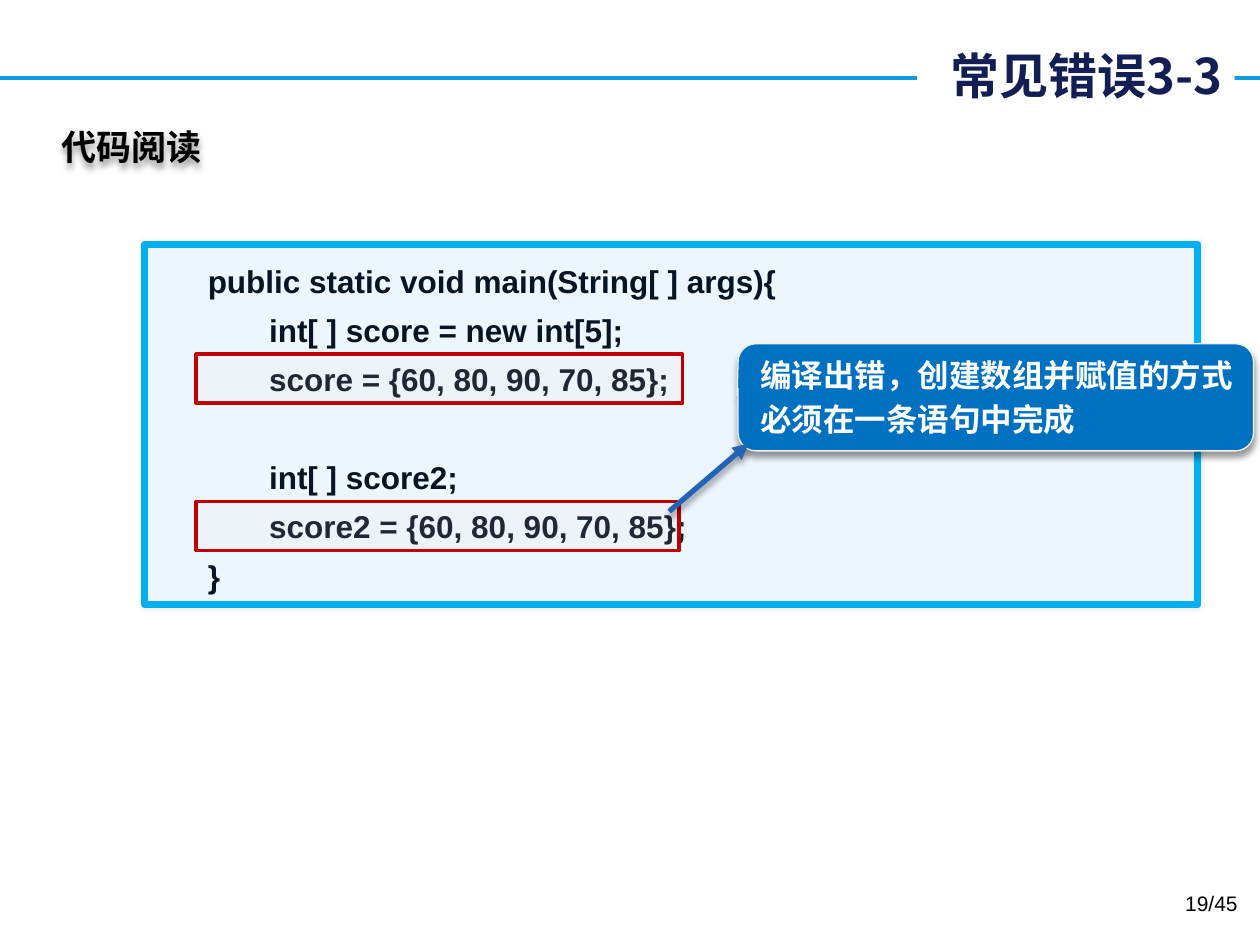
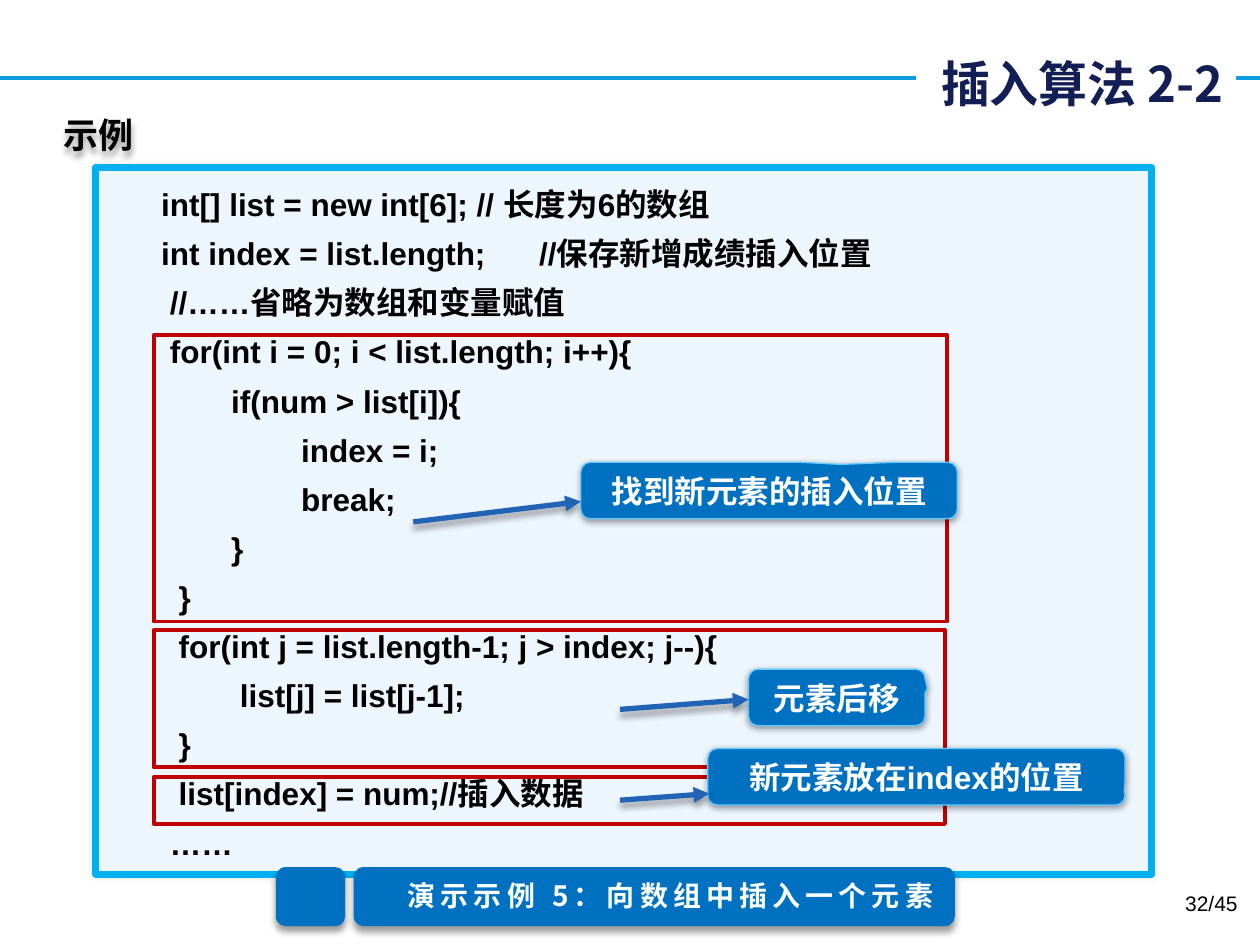
from pptx import Presentation
from pptx.dml.color import RGBColor
from pptx.enum.shapes import MSO_CONNECTOR, MSO_SHAPE
from pptx.enum.text import MSO_ANCHOR, PP_ALIGN
from pptx.oxml.ns import qn
from pptx.util import Cm, Pt
from lxml.etree import SubElement

HUES = {
    "rule": "0E9CDE", "title": "121E54", "panel": "EDF5FD", "edge": "00B0F0",
    "code": "071424", "black": "000000", "white": "FFFFFF", "note": "0070C0",
    "pale": "F2F2F2", "sky": "66CCFF", "red": "C00000", "pink": "FFDDDD",
    "arrow": "2163B4", "demo": "FBFFFE",
}
ARIAL = "Arial"
NOTO = "Noto Sans CJK SC"
SPACE = 0.1764


def hue(name):
    return RGBColor.from_string(HUES[name])


def shade(shape, alpha=40, blur=4, dist=3):
    props = shape._element.spPr
    list_ = props.find(qn("a:effectLst"))
    if list_ is None:
        list_ = SubElement(props, qn("a:effectLst"))
    cast = SubElement(list_, qn("a:outerShdw"), blurRad=str(Pt(blur)),
                      dist=str(Pt(dist)), dir="5400000", algn="ctr", rotWithShape="0")
    tone = SubElement(cast, qn("a:srgbClr"), val=HUES["black"])
    SubElement(tone, qn("a:alpha"), val=str(alpha * 1000))


def block(slide, kind, box, fill=None, line=None, width=0.75):
    shape = slide.shapes.add_shape(kind, *map(Cm, box))
    shape.shadow.inherit = False
    if fill:
        shape.fill.solid()
        shape.fill.fore_color.rgb = hue(fill)
    else:
        shape.fill.background()
    if line:
        shape.line.color.rgb = hue(line)
        shape.line.width = Pt(width)
    else:
        shape.line.fill.background()
    return shape


def write(shape, lines, size, color, font=ARIAL, bold=True, align=PP_ALIGN.LEFT,
          anchor=MSO_ANCHOR.MIDDLE, wrap=True):
    frame = shape.text_frame
    frame.text = "\n".join(lines)
    frame.word_wrap = wrap
    frame.vertical_anchor = anchor
    for para in frame.paragraphs:
        para.alignment = align
        for run in para.runs:
            run.font.size = Pt(size)
            run.font.bold = bold
            run.font.color.rgb = hue(color)
            run.font.name = font
            SubElement(run._r.get_or_add_rPr(), qn("a:ea"), typeface=NOTO)
    return frame


def label(slide, box, text, size, color, **style):
    shape = slide.shapes.add_textbox(*map(Cm, box))
    write(shape, [text], size, color, **style)
    return shape


def line(slide, ends, color, width):
    link = slide.shapes.add_connector(MSO_CONNECTOR.STRAIGHT, *map(Cm, ends))
    link.line.color.rgb = hue(color)
    link.line.width = Pt(width)
    SubElement(link._element.spPr, qn("a:effectLst"))
    return link


def base(deck, title, box, head, spot, page):
    slide = deck.slides.add_slide(deck.slide_layouts[6])
    line(slide, (0, 1.57, 25.4, 1.57), "rule", 2.25)
    bar = block(slide, MSO_SHAPE.RECTANGLE, box, "white")
    write(bar, [title], 28, "title", NOTO, align=PP_ALIGN.RIGHT, wrap=False)
    name = label(slide, spot, head, 20, "black", font=NOTO, wrap=False)
    shade(name)
    label(slide, (19.28, 17.83, 5.92, 1.02), f"{page}/45", 12, "black", bold=False,
          align=PP_ALIGN.RIGHT, anchor=MSO_ANCHOR.TOP)
    return slide


def code(slide, box, rows, color, inset):
    panel = block(slide, MSO_SHAPE.ROUNDED_RECTANGLE, box, "panel", "edge", 4)
    panel.adjustments[0] = 0
    shade(panel, 10, 3, 0)
    frame = write(panel, [text for _, text in rows], 18, color, anchor=MSO_ANCHOR.TOP)
    frame.margin_left, frame.margin_right = Cm(inset), 0
    for para, (spaces, text) in zip(frame.paragraphs, rows):
        para.line_spacing = 1.3
        props = para._p.get_or_add_pPr()
        props.set("marL", str(Cm(spaces * SPACE)))
        props.set("indent", "0")
        if "\t" in text:
            tabs = SubElement(props, qn("a:tabLst"))
            SubElement(tabs, qn("a:tab"), pos=str(Cm(7.39)), algn="l")
    return frame


def shift(box, part):
    return (box[0] + part[0], box[1] + part[1], *part[2:])


def mark(slide, box, part, tint=False):
    shape = block(slide, MSO_SHAPE.RECTANGLE, shift(box, part),
                  "pink" if tint else None, "red", 2.25)
    if tint:
        tone = shape._element.spPr.find(qn("a:solidFill"))[0]
        SubElement(tone, qn("a:alpha"), val="10000")


def note(slide, box, part, lines, tip, edge="sky", dist=1, align=PP_ALIGN.CENTER):
    shape = block(slide, MSO_SHAPE.ROUNDED_RECTANGULAR_CALLOUT, shift(box, part),
                  "note", edge)
    for spot, value in enumerate((*tip, 0.167)):
        shape.adjustments[spot] = value
    shade(shape, dist=dist)
    frame = write(shape, lines, 18, "white", align=align)
    if len(lines) > 1:
        frame.margin_left, frame.margin_right = Cm(0.34), 0
        for para in frame.paragraphs:
            para.space_before = Pt(3.6)


def arrow(slide, box, ends):
    left, top = box[:2]
    x, y, to_x, to_y = ends
    link = line(slide, (left + x, top + y, left + to_x, top + to_y), "arrow", 3)
    SubElement(link.line._get_or_add_ln(), qn("a:tailEnd"), type="triangle")
    shade(link)


def demo(slide, box, text):
    left, top, width, height = box
    for x, wide in ((0, 1.4), (1.57, width - 1.57)):
        shade(block(slide, MSO_SHAPE.ROUNDED_RECTANGLE,
                    (left + x, top, wide, height), "note"))
    name = label(slide, (left + 2.26, top + 0.1, width - 2.29, 0.94), text, 16,
                 "demo", font=NOTO, align=PP_ALIGN.CENTER, wrap=False)
    name.text_frame.paragraphs[0].runs[0].font._element.set("spc", "300")


def errors(deck):
    slide = base(deck, "常见错误3-3", (18.49, 0.79, 6.4, 1.45),
                 "代码阅读", (0.99, 2.39, 3.38, 1.12), 19)
    box = (2.92, 4.93, 21.23, 7.26)
    frame = code(slide, box, [
        (0, "public static void main(String[ ] args){"),
        (7, "int[ ] score = new int[5];"),
        (7, "score = {60, 80, 90, 70, 85};"),
        (7, "int[ ] score2;"),
        (7, "score2 = {60, 80, 90, 70, 85};"),
        (0, "}"),
    ], "code", 1.27)
    frame.paragraphs[3].space_before = Pt(28)
    note(slide, box, (11.96, 2, 10.39, 2.16),
         ["编译出错，创建数组并赋值的方式", "必须在一条语句中完成"],
         (-0.502, -0.016), "pale", 3, PP_ALIGN.LEFT)
    for part in ((1.04, 2.21, 9.8, 0.99), (1.04, 5.18, 9.73, 0.99)):
        mark(slide, box, part, True)
    arrow(slide, box, (10.57, 5.38, 12.17, 4.01))


def insert(deck):
    slide = base(deck, "插入算法 2-2", (18.47, 0.79, 6.45, 1.78),
                 "示例", (1.04, 2.16, 1.96, 1.12), 32)
    box = (1.93, 3.38, 21.29, 14.25)
    code(slide, box, [
        (0, "int[] list = new int[6]; // 长度为6的数组"),
        (0, "int index = list.length;\t//保存新增成绩插入位置"),
        (1, "//……省略为数组和变量赋值"),
        (1, "for(int i = 0; i < list.length; i++){"),
        (8, "if(num > list[i]){"),
        (16, "index = i;"),
        (16, "break;"),
        (8, "}"),
        (2, "}"),
        (2, "for(int j = list.length-1; j > index; j--){"),
        (9, "list[j] = list[j-1];"),
        (2, "}"),
        (2, "list[index] = num;//插入数据"),
        (1, "……"),
    ], "black", 1.32)
    for part in ((1.17, 3.38, 16, 5.77), (1.17, 12.29, 15.95, 0.94),
                 (1.17, 9.32, 15.95, 2.77)):
        mark(slide, box, part)
    for part, text, tip in (
        ((13.16, 10.11, 3.56, 1.14), "元素后移", (0.513, -0.155)),
        ((9.78, 5.94, 7.59, 1.14), "找到新元素的插入位置", (0.19, -0.462)),
        ((12.34, 11.71, 8.41, 1.14), "新元素放在index的位置", (0.498, 0.248)),
    ):
        note(slide, box, part, [text], tip)
    for ends in ((6.4, 7.14, 9.78, 6.73), (10.57, 10.92, 13.16, 10.72),
                 (10.57, 12.75, 12.37, 12.62)):
        arrow(slide, box, ends)
    demo(slide, (5.56, 17.48, 13.69, 1.19), "演示示例 5：向数组中插入一个元素")


def main():
    deck = Presentation()
    deck.slide_width, deck.slide_height = Cm(25.4), Cm(19.05)
    errors(deck)
    insert(deck)
    deck.save("out.pptx")


if __name__ == "__main__":
    main()
